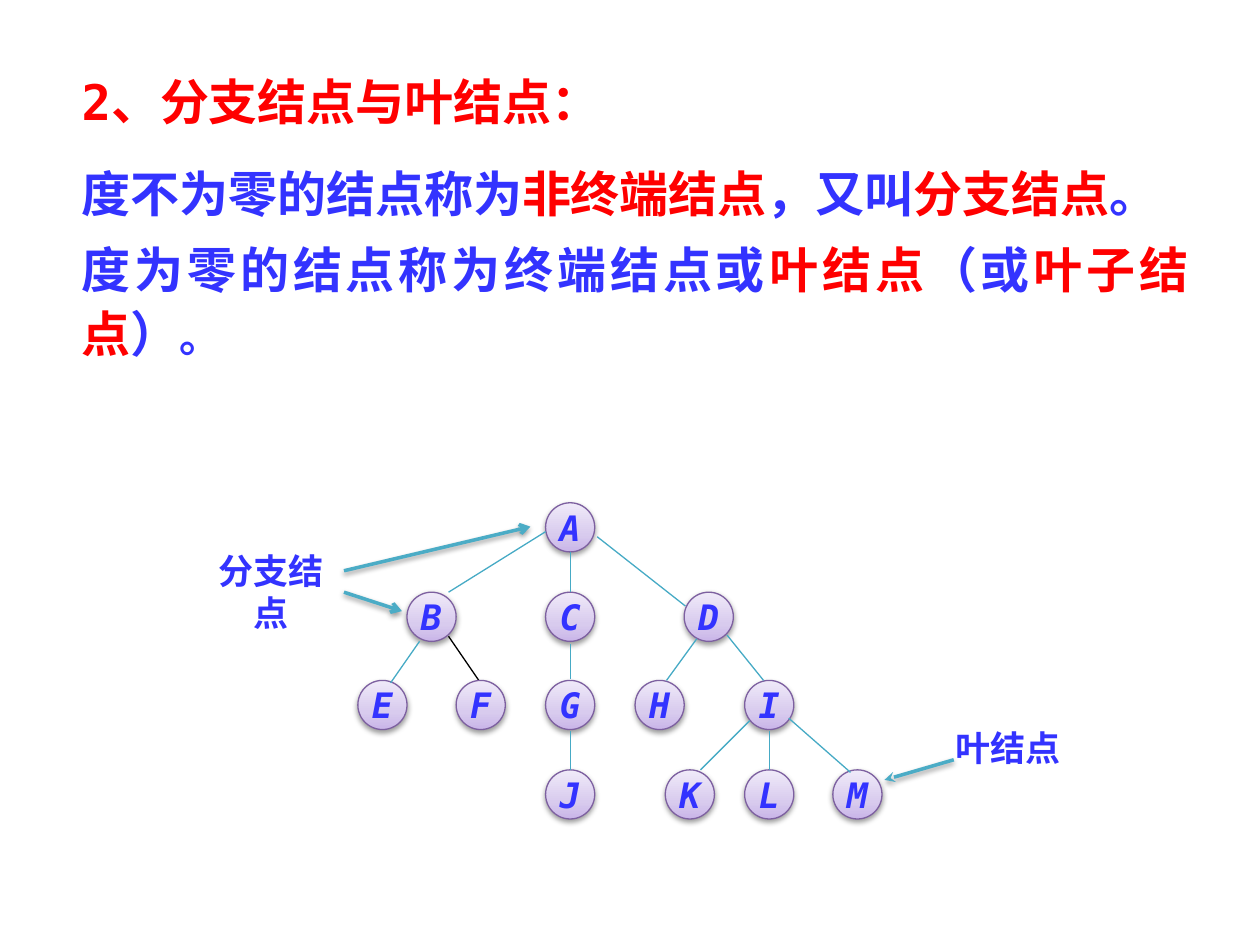
from lxml.etree import SubElement
from pptx import Presentation
from pptx.dml.color import RGBColor
from pptx.enum.shapes import MSO_CONNECTOR, MSO_SHAPE
from pptx.enum.text import MSO_ANCHOR, MSO_AUTO_SIZE, PP_ALIGN
from pptx.oxml.ns import qn
from pptx.util import Emu, Pt

PX = 9144
COLORS = {
    "red": "FF0000", "blue": "3333FF", "edge": "46AAC5", "arrow": "4BACC6",
    "black": "000000", "rim": "7D60A0",
}
SHADES = [(0, "C9B5E8"), (35, "D8CBEE"), (100, "F0EAF9")]
SIZE = 39
ROWS = [399, 470, 540, 611]
NODES = [
    ("A", 433, 0), ("B", 323, 1), ("C", 433, 1), ("D", 543, 1),
    ("E", 284, 2), ("F", 362, 2), ("G", 433, 2), ("J", 433, 3),
    ("H", 504, 2), ("I", 591, 2), ("K", 528, 3), ("L", 591, 3), ("M", 661, 3),
]
EDGES = [
    (433, 422, 356, 470), (453, 438, 453, 470), (474, 426, 544, 481),
    (333, 509, 310, 542), (453, 511, 453, 539), (453, 580, 453, 611),
    (553, 507, 529, 540), (577, 504, 606, 540), (595, 572, 556, 611),
    (611, 580, 611, 611), (626, 570, 675, 613),
]
ARROWS = [
    (757, 603, 702, 619, "stealth"),
    (273, 470, 319, 485, "arrow"),
    (273, 453, 421, 418, "arrow"),
]
LABELS = [("叶结点", 741, 572, 118, 44), ("分支结点", 156, 431, 118, 77)]
BODY = [
    (0, [("2、分支结点与叶结点：", "red", 28)]),
    (16, [("度不为零的结点称为", "blue", 28), ("非终端结点", "red", 28),
          ("，又叫", "blue", 28), ("分支结点", "red", 28), ("。", "blue", 28)]),
    (6, [("度为零的结点称为终端结点或", "blue", 28), ("叶结点", "red", 28),
         ("（或", "blue", 28), ("叶子结点", "red", 28), ("）", "blue", 28),
         ("。", "blue", 24)]),
]


class Sketch:
    """Holds the style and the current slide, and draws each kind of element."""

    def __init__(self, slide):
        self.shapes = slide.shapes
        self.latin = "DejaVu Sans Mono"
        self.asian = "Noto Sans CJK JP"

    def color(self, name):
        return RGBColor.from_string(COLORS[name])

    def style(self, run, size, color="blue", slant=False):
        font = run.font
        font.name, font.size = self.latin, Pt(size)
        font.bold, font.italic = True, slant
        font.color.rgb = self.color(color)
        SubElement(run._r.get_or_add_rPr(), qn("a:ea"), typeface=self.asian)

    def shade(self, props):
        group = props.find(qn("a:effectLst"))
        drop = SubElement(group, qn("a:outerShdw"), blurRad=str(Pt(3.1)),
                          dist=str(Pt(1.6)), dir="5400000", rotWithShape="0")
        tone = SubElement(drop, qn("a:srgbClr"), val=COLORS["black"])
        SubElement(tone, qn("a:alpha"), val="38000")

    def box(self, *place):
        shape = self.shapes.add_textbox(*(Emu(n * PX) for n in place))
        frame = shape.text_frame
        frame.word_wrap = True
        frame.auto_size = MSO_AUTO_SIZE.SHAPE_TO_FIT_TEXT
        return frame

    def body(self, paras, *place):
        frame = self.box(*place)
        for i, (gap, runs) in enumerate(paras):
            para = frame.add_paragraph() if i else frame.paragraphs[0]
            para.alignment = PP_ALIGN.JUSTIFY
            para.line_spacing = 1.1
            para.space_before = Pt(gap)
            for text, color, size in runs:
                run = para.add_run()
                run.text = text
                self.style(run, size, color)

    def label(self, text, *place):
        frame = self.box(*place)
        frame.text = text
        para = frame.paragraphs[0]
        para.alignment = PP_ALIGN.CENTER
        self.style(para.runs[0], 20)

    def line(self, x1, y1, x2, y2, color="edge", width=0.75, tip=None):
        ends = (Emu(n * PX) for n in (x1, y1, x2, y2))
        link = self.shapes.add_connector(MSO_CONNECTOR.STRAIGHT, *ends)
        link.line.color.rgb = self.color(color)
        link.line.width = Pt(width)
        props = link.element.spPr
        SubElement(props, qn("a:effectLst"))
        if tip:
            SubElement(props.find(qn("a:ln")), qn("a:tailEnd"), type=tip)
            self.shade(props)

    def node(self, text, left, top):
        place = (Emu(n * PX) for n in (left, top, SIZE, SIZE))
        shape = self.shapes.add_shape(MSO_SHAPE.OVAL, *place)
        shape.fill.gradient()
        shape.fill.gradient_angle = 90
        props = shape.element.spPr
        stops = props.find(qn("a:gradFill")).find(qn("a:gsLst"))
        for stop in list(stops):
            stops.remove(stop)
        for pos, tone in SHADES:
            stop = SubElement(stops, qn("a:gs"), pos=str(pos * 1000))
            SubElement(stop, qn("a:srgbClr"), val=tone)
        shape.line.color.rgb = self.color("rim")
        shape.line.width = Pt(0.75)
        shape.shadow.inherit = False
        self.shade(props)
        frame = shape.text_frame
        frame.text = text
        frame.word_wrap = False
        frame.vertical_anchor = MSO_ANCHOR.MIDDLE
        para = frame.paragraphs[0]
        para.alignment = PP_ALIGN.CENTER
        self.style(para.runs[0], 20, slant=True)


def main():
    deck = Presentation()
    deck.slide_width, deck.slide_height = Emu(1000 * PX), Emu(750 * PX)
    sketch = Sketch(deck.slides.add_slide(deck.slide_layouts[6]))
    sketch.body(BODY, 55, 47, 898, 248)
    for label in LABELS:
        sketch.label(*label)
    sketch.line(356, 505, 380, 540, "black")
    for name, left, row in NODES:
        sketch.node(name, left, ROWS[row])
    for edge in EDGES:
        sketch.line(*edge)
    for *ends, tip in ARROWS:
        sketch.line(*ends, "arrow", 2, tip)
    deck.save("out.pptx")


if __name__ == "__main__":
    main()
